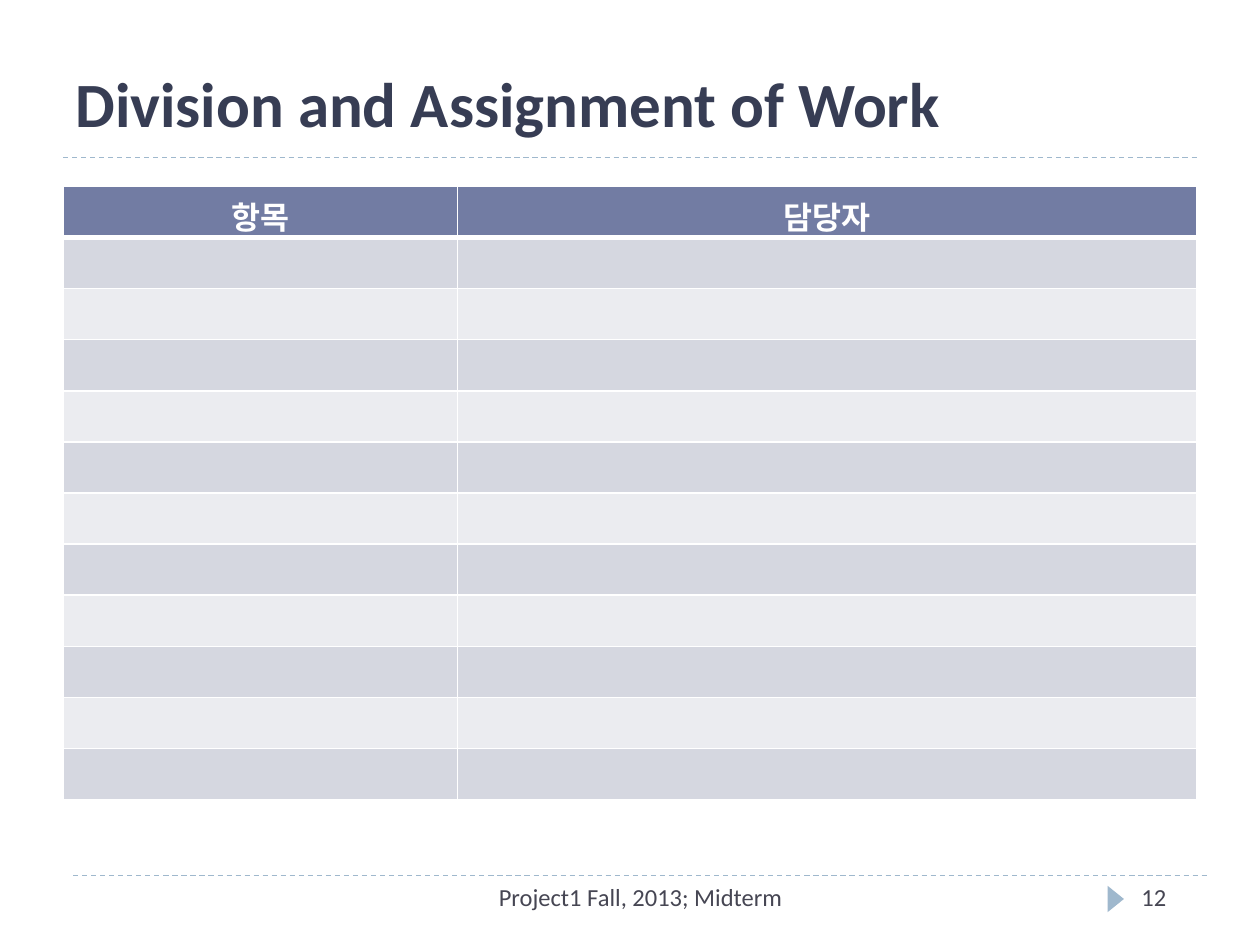
from dataclasses import dataclass

from lxml import etree
from pptx import Presentation
from pptx.dml.color import RGBColor
from pptx.enum.dml import MSO_LINE
from pptx.enum.shapes import MSO_CONNECTOR, MSO_SHAPE
from pptx.enum.text import MSO_ANCHOR, PP_ALIGN
from pptx.oxml.ns import qn
from pptx.util import Inches, Pt

LEFT, CENTER = PP_ALIGN.LEFT, PP_ALIGN.CENTER
TOP, MIDDLE, BOTTOM = MSO_ANCHOR.TOP, MSO_ANCHOR.MIDDLE, MSO_ANCHOR.BOTTOM
STRAIGHT = MSO_CONNECTOR.STRAIGHT
TRIANGLE = MSO_SHAPE.ISOSCELES_TRIANGLE
DASH = MSO_LINE.DASH


@dataclass(frozen=True)
class Theme:
    font: str = "Calibri"
    title: str = "373D54"
    footer: str = "464653"
    accent: str = "9FB8CD"
    header: str = "727CA3"
    bands: tuple = ("D5D7E0", "EBECF0")
    white: str = "FFFFFF"
    title_size: int = 36
    header_size: int = 18
    footer_size: int = 14


THEME = Theme()
HEADINGS = ("항목", "담당자")
COLUMN_WIDTHS = (3.13, 5.87)
BODY_ROWS = 11


def write_text(frame, text, *, size, color, bold=False, align=LEFT):
    paragraph = frame.paragraphs[0]
    paragraph.alignment = align
    run = paragraph.add_run()
    run.text = text
    run.font.name = THEME.font
    run.font.size = Pt(size)
    run.font.bold = bold
    run.font.color.rgb = RGBColor.from_string(color)


def add_text_box(slide, text, left, top, width, height, *, anchor=TOP, inset=0.05, **text_format):
    shape = slide.shapes.add_textbox(Inches(left), Inches(top), Inches(width), Inches(height))
    frame = shape.text_frame
    frame.word_wrap = True
    frame.vertical_anchor = anchor
    frame.margin_top = frame.margin_bottom = Inches(inset)
    write_text(frame, text, **text_format)


def add_dashed_rule(slide, left, top, width):
    connector = slide.shapes.add_connector(
        STRAIGHT, Inches(left), Inches(top), Inches(left + width), Inches(top)
    )
    connector.line.color.rgb = RGBColor.from_string(THEME.accent)
    connector.line.width = Pt(0.75)
    connector.line.dash_style = DASH
    etree.SubElement(connector.element.spPr, qn("a:effectLst"))


def add_page_marker(slide, left, top, width, height):
    shape = slide.shapes.add_shape(
        TRIANGLE, Inches(left), Inches(top), Inches(width), Inches(height)
    )
    shape.rotation = 90
    shape.shadow.inherit = False
    shape.fill.solid()
    shape.fill.fore_color.rgb = RGBColor.from_string(THEME.accent)
    shape.line.fill.background()


def set_borders(cell, **widths):
    properties = cell._tc.get_or_add_tcPr()
    for position, (side, width) in enumerate(widths.items()):
        border = etree.Element(qn(f"a:{side}"), w=str(Pt(width)))
        fill = etree.SubElement(border, qn("a:solidFill"))
        etree.SubElement(fill, qn("a:srgbClr"), val=THEME.white)
        properties.insert(position, border)


def style_cell(cell, color, top=1, bottom=1):
    cell.fill.solid()
    cell.fill.fore_color.rgb = RGBColor.from_string(color)
    set_borders(cell, lnL=1, lnR=1, lnT=top, lnB=bottom)


def add_assignment_table(slide, left, top, width, height):
    table = slide.shapes.add_table(
        BODY_ROWS + 1, len(HEADINGS), Inches(left), Inches(top), Inches(width), Inches(height)
    ).table
    for index, (heading, column_width) in enumerate(zip(HEADINGS, COLUMN_WIDTHS)):
        table.columns[index].width = Inches(column_width)
        header = table.cell(0, index)
        header.vertical_anchor = MIDDLE
        write_text(header.text_frame, heading, size=THEME.header_size,
                   color=THEME.white, bold=True, align=CENTER)
        style_cell(header, THEME.header, bottom=3)
        for row in range(1, BODY_ROWS + 1):
            band = THEME.bands[(row - 1) % len(THEME.bands)]
            style_cell(table.cell(row, index), band, top=3 if row == 1 else 1)


def main():
    presentation = Presentation()
    presentation.slide_width = Inches(10)
    presentation.slide_height = Inches(7.5)
    slide = presentation.slides.add_slide(presentation.slide_layouts[6])

    add_dashed_rule(slide, 0.58, 6.95, 9)
    add_dashed_rule(slide, 0.5, 1.25, 9)
    add_page_marker(slide, 8.75, 7.07, 0.21, 0.13)
    add_text_box(slide, "Division and Assignment of Work", 0.5, 0.4, 9, 0.71, anchor=BOTTOM,
                 inset=0, size=THEME.title_size, color=THEME.title, bold=True)
    footer_format = {"size": THEME.footer_size, "color": THEME.footer}
    add_text_box(slide, "Project1 Fall, 2013; Midterm", 3.17, 6.95, 3.83, 0.4,
                 align=CENTER, **footer_format)
    add_assignment_table(slide, 0.5, 1.48, 9, 4.87)
    add_text_box(slide, "12", 8.96, 6.95, 0.75, 0.4, **footer_format)

    presentation.save("out.pptx")


if __name__ == "__main__":
    main()
